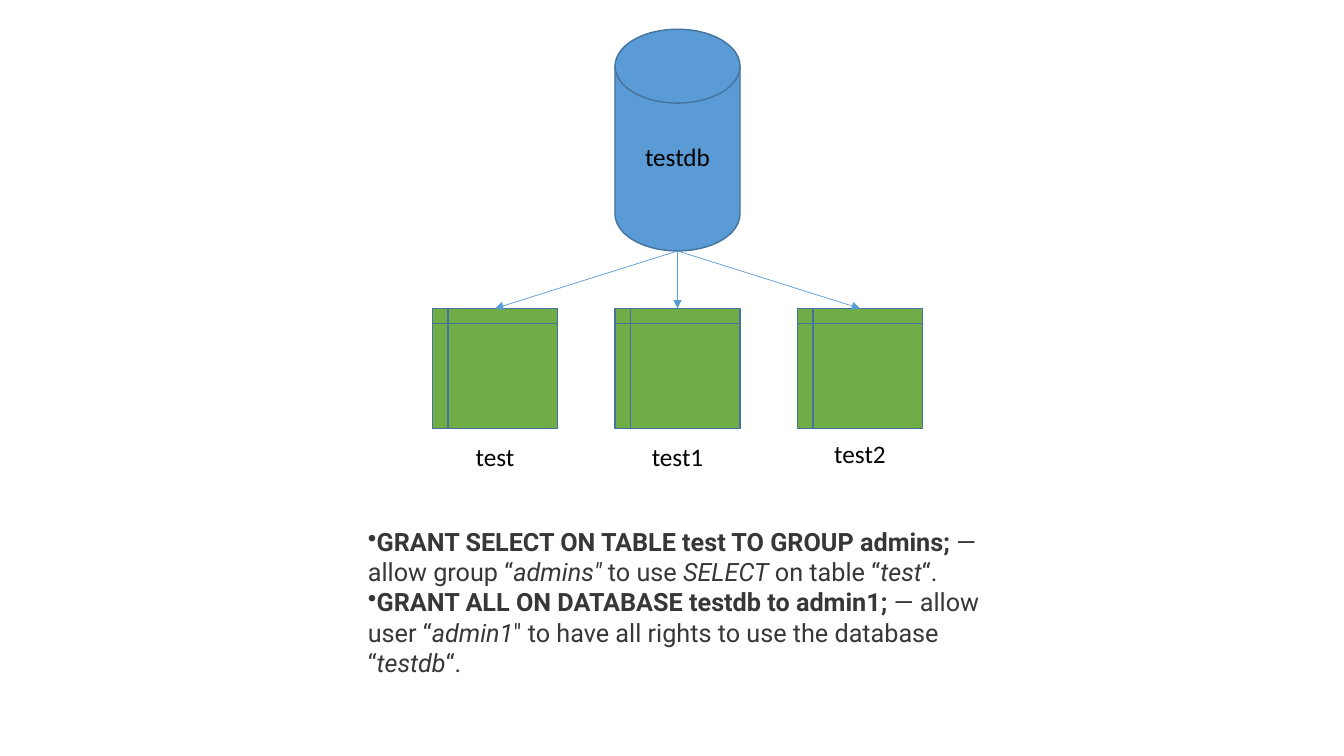
import lxml.etree
import pptx
import pptx.dml.color
import pptx.enum.shapes
import pptx.enum.text
import pptx.oxml.ns
import pptx.util

Inches = pptx.util.Inches
Pt = pptx.util.Pt
Shapes = pptx.enum.shapes.MSO_SHAPE

COLORS = {
    "database": "5B9BD5",
    "table": "70AD47",
    "outline": "43739E",
    "label": "000000",
    "body": "373737",
}

BOX_WIDTH = 1.24
COLUMN_LEFT = 4.29
COLUMN_STEP = 1.81
DATABASE_LEFT = COLUMN_LEFT + COLUMN_STEP
DATABASE_TOP, DATABASE_HEIGHT = 0.29, 2.2
TABLE_TOP, TABLE_HEIGHT = 3.06, 1.19
TABLES = [("test", 4.33), ("test1", 4.33), ("test2", 4.3)]

# Each run is its text and its style: "b" bold, "i" italic, "" plain.
GRANTS = [
    [
        ("GRANT SELECT ON TABLE test TO GROUP admins;", "b"),
        (" — allow group “", ""),
        ("admins\" ", "i"),
        ("to use ", ""),
        ("SELECT", "i"),
        (" on table “", ""),
        ("test", "i"),
        ("“.", ""),
    ],
    [
        ("GRANT ALL ON DATABASE testdb to admin1;", "b"),
        (" — allow user “", ""),
        ("admin1", "i"),
        ("\" to have all rights to use the database “", ""),
        ("testdb", "i"),
        ("“.", ""),
    ],
]


def color(name):
    return pptx.dml.color.RGBColor.from_string(COLORS[name])


def add_xml(parent, tag, **attributes):
    return lxml.etree.SubElement(parent, pptx.oxml.ns.qn(tag), attributes)


class Diagram:
    """Holds the slide and the text style, and draws the elements."""

    label_font = "Calibri"
    body_font = "Roboto"
    text_size = Pt(18)

    def __init__(self, slide):
        self.slide = slide

    def box(self, kind, left, top, height, fill):
        shape = self.slide.shapes.add_shape(
            kind, Inches(left), Inches(top), Inches(BOX_WIDTH), Inches(height))
        shape.shadow.inherit = False
        shape.fill.solid()
        shape.fill.fore_color.rgb = color(fill)
        shape.line.color.rgb = color("outline")
        shape.line.width = Pt(1)
        return shape

    def text_frame(self, left, top, width, height):
        text_box = self.slide.shapes.add_textbox(
            Inches(left), Inches(top), Inches(width), Inches(height))
        text_box.text_frame.word_wrap = True
        return text_box.text_frame

    def set_font(self, paragraph, name, color_name):
        paragraph.font.name = name
        paragraph.font.size = self.text_size
        paragraph.font.color.rgb = color(color_name)

    def label(self, text, left, top):
        paragraph = self.text_frame(left, top, BOX_WIDTH, 0.4).paragraphs[0]
        paragraph.text = text
        paragraph.alignment = pptx.enum.text.PP_ALIGN.CENTER
        self.set_font(paragraph, self.label_font, "label")

    def bullets(self, items, left, top, width, height):
        frame = self.text_frame(left, top, width, height)
        for index, runs in enumerate(items):
            paragraph = frame.add_paragraph() if index else frame.paragraphs[0]
            add_xml(paragraph._p.get_or_add_pPr(), "a:buChar", char="•")
            self.set_font(paragraph, self.body_font, "body")
            for text, style in runs:
                run = paragraph.add_run()
                run.text = text
                run.font.bold = style == "b"
                run.font.italic = style == "i"

    def arrow(self, left, top, target):
        """Draw an arrow from a point to the top middle of the target."""
        connector = self.slide.shapes.add_connector(
            pptx.enum.shapes.MSO_CONNECTOR.STRAIGHT,
            Inches(left), Inches(top), Inches(left), Inches(top))
        connector.end_connect(target, 0)
        connector.line.color.rgb = color("database")
        connector.line.width = Pt(0.5)
        add_xml(connector.line._get_or_add_ln(), "a:tailEnd", type="triangle")
        add_xml(connector._element.spPr, "a:effectLst")


def main():
    presentation = pptx.Presentation()
    presentation.slide_width = Inches(13.33)
    presentation.slide_height = Inches(7.5)
    slide = presentation.slides.add_slide(presentation.slide_layouts[6])
    diagram = Diagram(slide)

    diagram.bullets(GRANTS, 3.55, 5.17, 6.67, 1.92)
    diagram.box(Shapes.FLOWCHART_MAGNETIC_DISK, DATABASE_LEFT, DATABASE_TOP,
                DATABASE_HEIGHT, "database")
    diagram.label("testdb", DATABASE_LEFT, 1.35)
    for column, (name, label_top) in enumerate(TABLES):
        left = COLUMN_LEFT + column * COLUMN_STEP
        table = diagram.box(Shapes.FLOWCHART_INTERNAL_STORAGE, left, TABLE_TOP,
                            TABLE_HEIGHT, "table")
        diagram.label(name, left, label_top)
        diagram.arrow(DATABASE_LEFT + BOX_WIDTH / 2,
                      DATABASE_TOP + DATABASE_HEIGHT, table)

    presentation.save("out.pptx")


if __name__ == "__main__":
    main()
